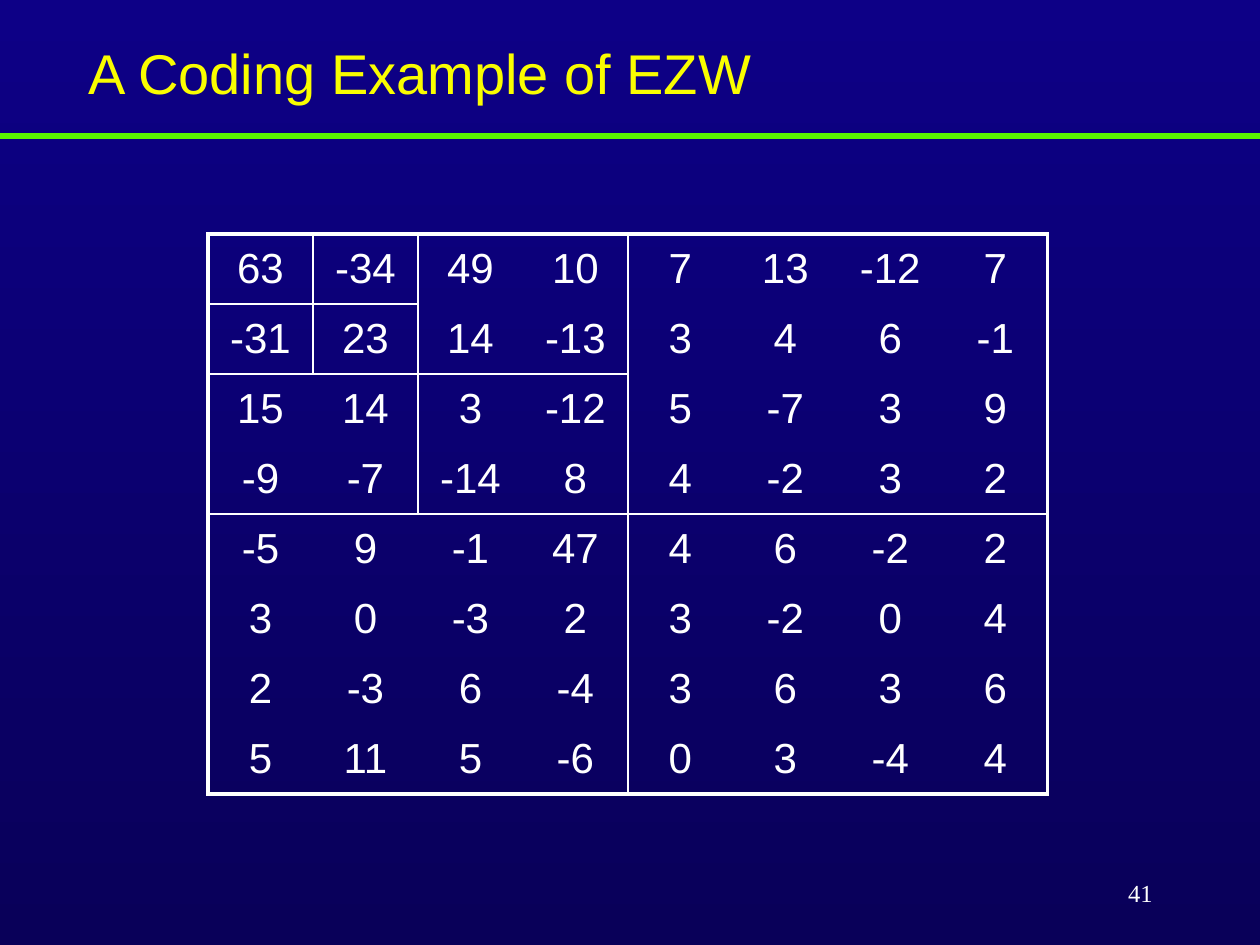
import dataclasses

import lxml.etree
import pptx
import pptx.dml.color
import pptx.enum.shapes
import pptx.enum.text
import pptx.oxml.ns
import pptx.util

EMU_PER_PX = 914400 / 126
SIZE = 8
ROW_HEIGHT, COLUMN_WIDTH = 70, 105
COEFFICIENTS = [
    [63, -34, 49, 10, 7, 13, -12, 7],
    [-31, 23, 14, -13, 3, 4, 6, -1],
    [15, 14, 3, -12, 5, -7, 3, 9],
    [-9, -7, -14, 8, 4, -2, 3, 2],
    [-5, 9, -1, 47, 4, 6, -2, 2],
    [3, 0, -3, 2, 3, -2, 0, 4],
    [2, -3, 6, -4, 3, 6, 3, 6],
    [5, 11, 5, -6, 0, 3, -4, 4],
]


@dataclasses.dataclass(frozen=True)
class Theme:
    """Colours, fonts, type sizes and line widths of the slide."""

    sky: str = "0D0086"
    deep: str = "090059"
    rule: str = "5AF400"
    title: str = "FAFD00"
    text: str = "FFFFFF"
    sans: str = "Arial"
    serif: str = "Times New Roman"
    title_size: int = 32
    table_size: int = 24
    number_size: int = 14
    rule_width: float = 3
    frame_width: float = 2.25
    band_width: float = 1


THEME = Theme()


def px(n):
    """Turn pixels into EMU."""
    return pptx.util.Emu(round(n * EMU_PER_PX))


def rgb(value):
    """Turn a hex string into a colour."""
    return pptx.dml.color.RGBColor.from_string(value)


def add_run(p, text, size, font, color):
    """Add one styled run to a paragraph."""
    r = p.add_run()
    r.text = text
    r.font.size = pptx.util.Pt(size)
    r.font.name = font
    r.font.color.rgb = rgb(color)


def add_background(s):
    """Fill the slide with a gradient from top to bottom."""
    fill = s.background.fill
    fill.gradient()
    fill.gradient_angle = 270
    for stop, color in zip(fill.gradient_stops, (THEME.sky, THEME.deep)):
        stop.color.rgb = rgb(color)


def add_rule(s, y, width):
    """Draw the horizontal rule under the title."""
    line = s.shapes.add_connector(
        pptx.enum.shapes.MSO_CONNECTOR.STRAIGHT, px(0), px(y), px(width), px(y)
    )
    line.line.color.rgb = rgb(THEME.rule)
    line.line.width = pptx.util.Pt(THEME.rule_width)
    lxml.etree.SubElement(line._element.spPr, pptx.oxml.ns.qn("a:effectLst"))


def add_text(s, box, text, size, font, color, align, spacing=1.0):
    """Add a one-line text box, centred vertically."""
    sp = s.shapes.add_textbox(*map(px, box))
    tf = sp.text_frame
    tf.word_wrap = True
    tf.vertical_anchor = pptx.enum.text.MSO_ANCHOR.MIDDLE
    p = tf.paragraphs[0]
    p.alignment = align
    p.line_spacing = spacing
    add_run(p, text, size, font, color)


def edge_width(index, other):
    """Return the line width of a grid edge, by wavelet subband."""
    if index in (0, SIZE):
        return THEME.frame_width
    is_split = index in (1, 2, 4) and other < 2 * index
    return THEME.band_width if is_split else 0


def set_border(cell, side, width):
    """Set one border of a cell, or clear it when the width is zero."""
    qn = pptx.oxml.ns.qn
    ln = lxml.etree.SubElement(cell._tc.get_or_add_tcPr(), qn(f"a:ln{side}"))
    ln.set("w", str(pptx.util.Pt(width)))
    if width:
        fill = lxml.etree.SubElement(ln, qn("a:solidFill"))
        lxml.etree.SubElement(fill, qn("a:srgbClr")).set("val", THEME.text)
    else:
        lxml.etree.SubElement(ln, qn("a:noFill"))


def fill_cell(cell, row, column, value):
    """Write one coefficient and draw the borders around it."""
    edges = {
        "L": edge_width(column, row),
        "R": edge_width(column + 1, row),
        "T": edge_width(row, column),
        "B": edge_width(row + 1, column),
    }
    for side, width in edges.items():
        set_border(cell, side, width)
    cell.fill.background()
    cell.vertical_anchor = pptx.enum.text.MSO_ANCHOR.MIDDLE
    p = cell.text_frame.paragraphs[0]
    p.alignment = pptx.enum.text.PP_ALIGN.CENTER
    add_run(p, str(value), THEME.table_size, THEME.sans, THEME.text)


def add_coefficients(s, left, top):
    """Add the table of wavelet coefficients."""
    table = s.shapes.add_table(
        SIZE, SIZE, px(left), px(top), px(SIZE * COLUMN_WIDTH), px(SIZE * ROW_HEIGHT)
    ).table
    table.first_row = table.horz_banding = False
    for column in table.columns:
        column.width = px(COLUMN_WIDTH)
    for i, values in enumerate(COEFFICIENTS):
        table.rows[i].height = px(ROW_HEIGHT)
        for j, value in enumerate(values):
            fill_cell(table.cell(i, j), i, j, value)


def main():
    """Build the slide and save it."""
    prs = pptx.Presentation()
    prs.slide_width, prs.slide_height = px(1260), px(945)
    s = prs.slides.add_slide(prs.slide_layouts[6])
    align = pptx.enum.text.PP_ALIGN
    add_background(s)
    add_rule(s, 136, 1260)
    add_text(s, (76, 39, 1149, 74), "A Coding Example of EZW", THEME.title_size,
             THEME.sans, THEME.title, align.LEFT, 0.9)
    add_coefficients(s, 208, 234)
    add_text(s, (903, 861, 262, 63), "41", THEME.number_size,
             THEME.serif, THEME.text, align.RIGHT)
    prs.save("out.pptx")


if __name__ == "__main__":
    main()
